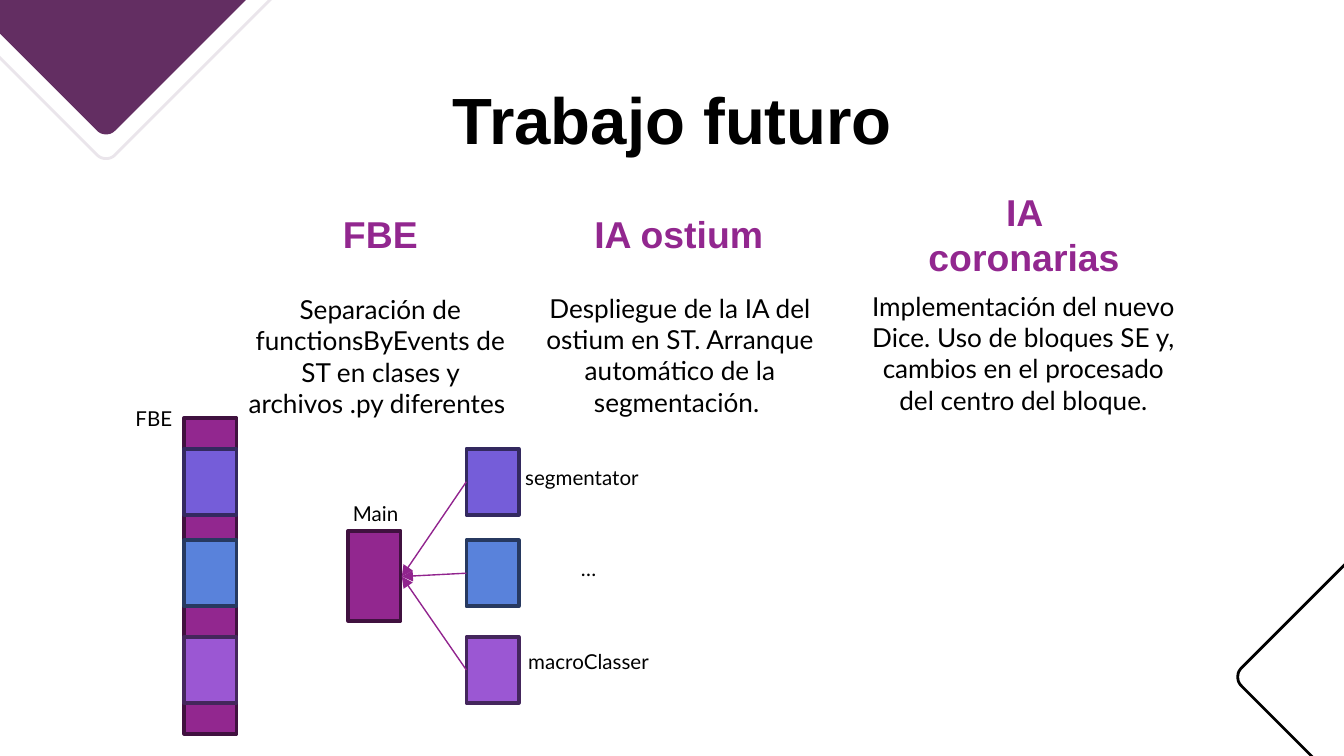
from lxml import etree
from pptx import Presentation
from pptx.dml.color import RGBColor
from pptx.enum import shapes, text
from pptx.oxml import ns
from pptx.util import Inches, Pt

COLORS = {
    "black": "000000", "pale": "EAE5EB", "plum": "632E62",
    "magenta": "92278F", "magenta_edge": "40113F", "arrow": "91248E",
    "violet": "755DD9", "violet_edge": "33295F",
    "blue": "5982DB", "blue_edge": "273960",
    "purple": "9B57D3", "purple_edge": "44265C",
}
COLUMNS = [
    ("FBE", (1.97, 1.51, 1.72, 0.46),
     "Separación de functionsByEvents de ST en clases y archivos .py diferentes ",
     (1.69, 1.97, 2.28, 1.36)),
    ("IA ostium", (4.19, 1.51, 1.72, 0.46),
     "Despliegue de la IA del ostium en ST. Arranque automático de la segmentación. ",
     (3.94, 2.02, 2.24, 1.24)),
    ("IA coronarias", (6.76, 1.51, 1.72, 0.46),
     "Implementación del nuevo Dice. Uso de bloques SE y, cambios en el procesado del centro del bloque.",
     (6.32, 2.01, 2.59, 1.23)),
]
MODULES = [("violet", 0.23), ("blue", 0.91), ("purple", 1.63)]
BLOCK_WIDTH, MODULE_HEIGHT = 0.39, 0.49


def rgb(name):
    return RGBColor.from_string(COLORS[name])


def paint(shape, fill=None, line=None, width=1.5):
    shape.shadow.inherit = False
    if fill:
        shape.fill.solid()
        shape.fill.fore_color.rgb = rgb(fill)
    else:
        shape.fill.background()
    if line:
        shape.line.color.rgb = rgb(line)
        shape.line.width = Pt(width)
    else:
        shape.line.fill.background()


def add_text(page, box, words, size, font="Lato", color="black", bold=False,
             anchor=text.MSO_ANCHOR.MIDDLE):
    frame = page.shapes.add_textbox(*map(Inches, box)).text_frame
    frame.word_wrap = True
    frame.vertical_anchor = anchor
    frame.margin_left = frame.margin_right = Inches(0.1)
    frame.margin_top = frame.margin_bottom = Inches(0.1)
    para = frame.paragraphs[0]
    para.alignment = text.PP_ALIGN.CENTER
    span = para.add_run()
    span.text = words
    span.font.size = Pt(size)
    span.font.name = font
    span.font.bold = bold
    span.font.color.rgb = rgb(color)


def bezier(start, first, second, end, steps=8):
    for step in range(1, steps + 1):
        t = step / steps
        weights = ((1 - t) ** 3, 3 * t * (1 - t) ** 2, 3 * t * t * (1 - t), t ** 3)
        yield tuple(sum(w * p[axis] for w, p in zip(weights, (start, first, second, end)))
                    for axis in (0, 1))


def wedge_outline():
    half = [(0, 0), *bezier((0, 0), (0, 0.03), (0.01, 0.05), (0.03, 0.07)),
            (1.21, 1.25), *bezier((1.21, 1.25), (1.23, 1.27), (1.25, 1.28), (1.28, 1.28))]
    return half + [(2.56 - x, y) for x, y in reversed(half[:-1])]


def add_wedge(page, left, top, scale=1, points_left=False, fill=None, line=None):
    if points_left:
        points = [(left + (1.28 - y) * scale, top + x * scale) for x, y in wedge_outline()]
    else:
        points = [(left + x * scale, top + y * scale) for x, y in wedge_outline()]
    points = [(Inches(x), Inches(y)) for x, y in points]
    builder = page.shapes.build_freeform(*points[0])
    builder.add_line_segments(points[1:], close=True)
    paint(builder.convert_to_shape(), fill, line)


def add_decoration(page):
    add_wedge(page, -0.49, -0.1, line="pale")
    add_wedge(page, -0.49, -0.28, fill="plum")
    add_wedge(page, 9.21, 3.77, scale=0.99, points_left=True, line="black")


def add_column(page, heading, heading_box, body, body_box):
    add_text(page, heading_box, heading, 20, "Arial", "magenta", True)
    add_text(page, body_box, body, 14)


def add_block(page, left, top, height, color):
    block = page.shapes.add_shape(shapes.MSO_SHAPE.RECTANGLE, Inches(left), Inches(top),
                                  Inches(BLOCK_WIDTH), Inches(height))
    paint(block, color, color + "_edge", 2)


def add_modules(page, left, top):
    for color, offset in MODULES:
        add_block(page, left, top + offset, MODULE_HEIGHT, color)


def add_arrow(page, start, end):
    arrow = page.shapes.add_connector(shapes.MSO_CONNECTOR.STRAIGHT,
                                      *map(Inches, start + end))
    arrow.line.color.rgb = rgb("arrow")
    arrow.line.width = Pt(0.75)
    etree.SubElement(arrow.line._get_or_add_ln(), ns.qn("a:tailEnd"), type="triangle")
    etree.SubElement(arrow._element.spPr, ns.qn("a:effectLst"))


def add_single_file(page, left, top):
    add_block(page, left, top, 2.35, "magenta")
    add_modules(page, left, top)
    add_text(page, (left - 0.56, top - 0.18, 0.67, 0.36), "FBE", 11)


def add_split_files(page, left, top):
    modules_left = left + 0.88
    add_modules(page, modules_left, top)
    add_block(page, left, top + 0.84, 0.67, "magenta")
    hub = (left + 0.4, top + 1.18)
    for _, offset in MODULES:
        add_arrow(page, (modules_left, top + offset + MODULE_HEIGHT / 2), hub)
    labels = [("Main", -0.13, 0.53, 0.67), ("segmentator", 1.1, 0.26, 1.28),
              ("macroClasser", 1.19, 1.63, 1.2), ("…", 1.19, 0.94, 1.2)]
    for words, x, y, width in labels:
        add_text(page, (left + x, top + y, width, 0.36), words, 11)


def main():
    deck = Presentation()
    deck.slide_width = Inches(10)
    deck.slide_height = deck.slide_width * 9 // 16
    page = deck.slides.add_slide(deck.slide_layouts[6])
    add_decoration(page)
    add_text(page, (0.79, 0.49, 8.43, 0.63), "Trabajo futuro", 35, "Arial", bold=True,
             anchor=text.MSO_ANCHOR.TOP)
    for column in COLUMNS:
        add_column(page, *column)
    add_single_file(page, 1.37, 3.11)
    add_split_files(page, 2.59, 3.11)
    deck.save("out.pptx")


if __name__ == "__main__":
    main()
